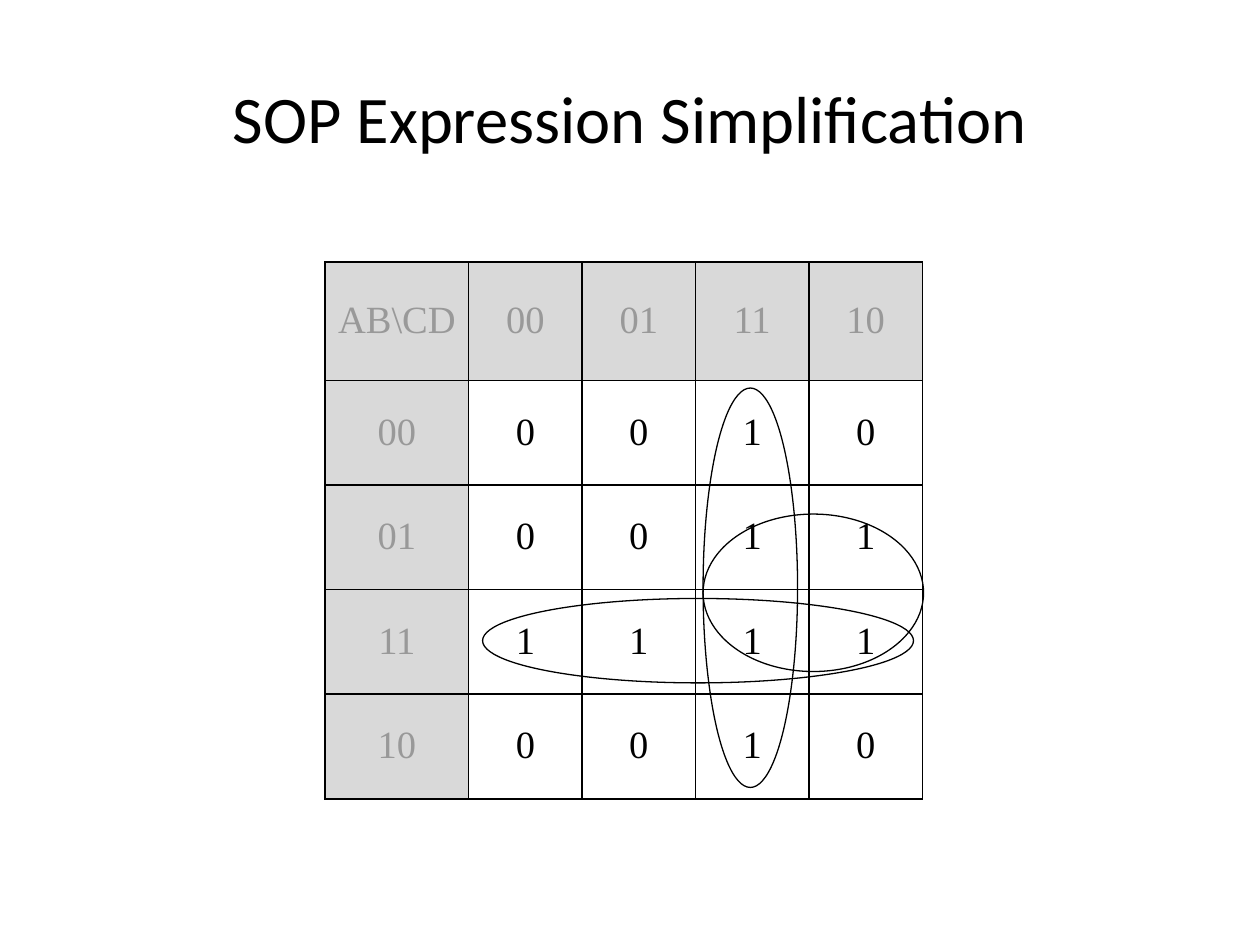
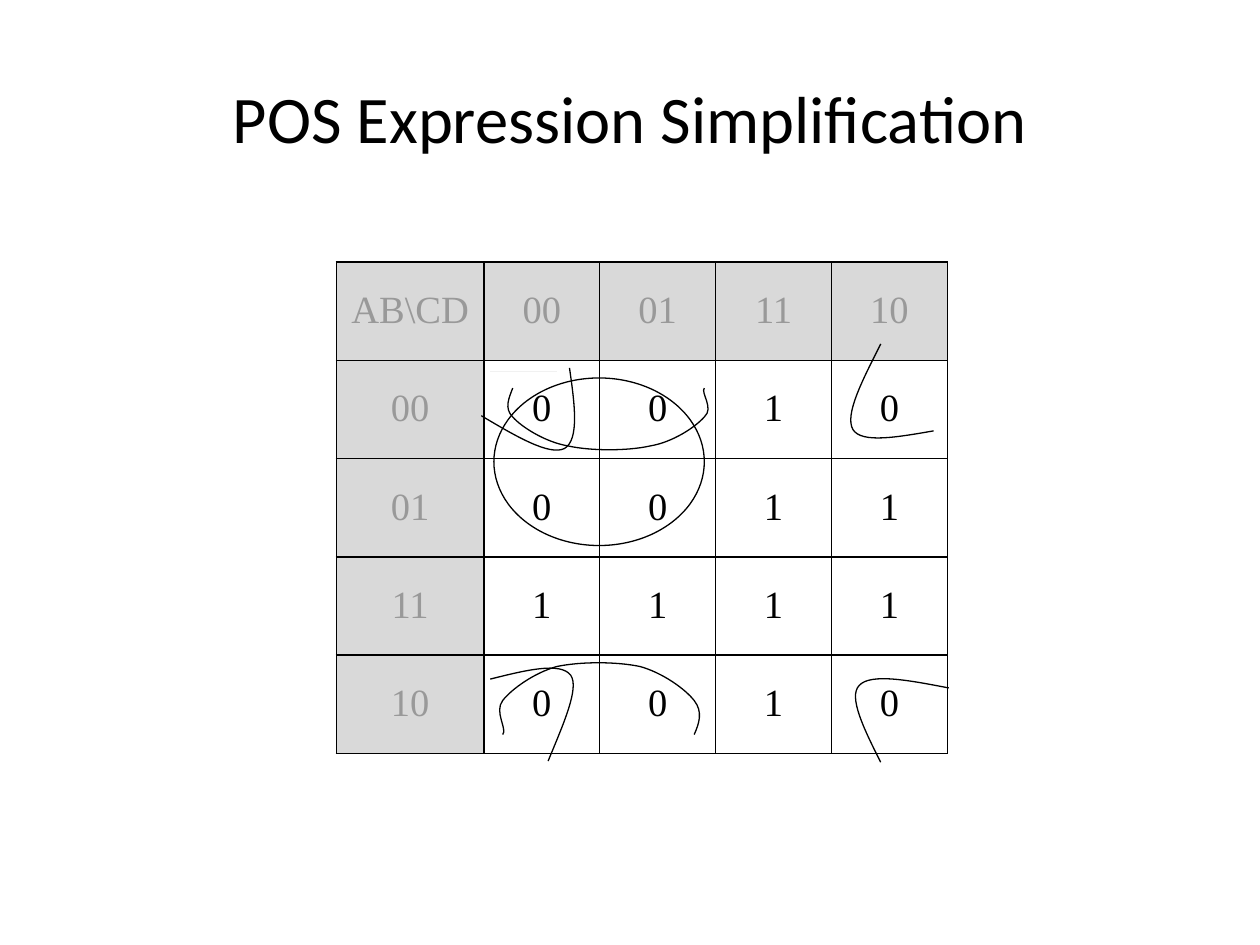
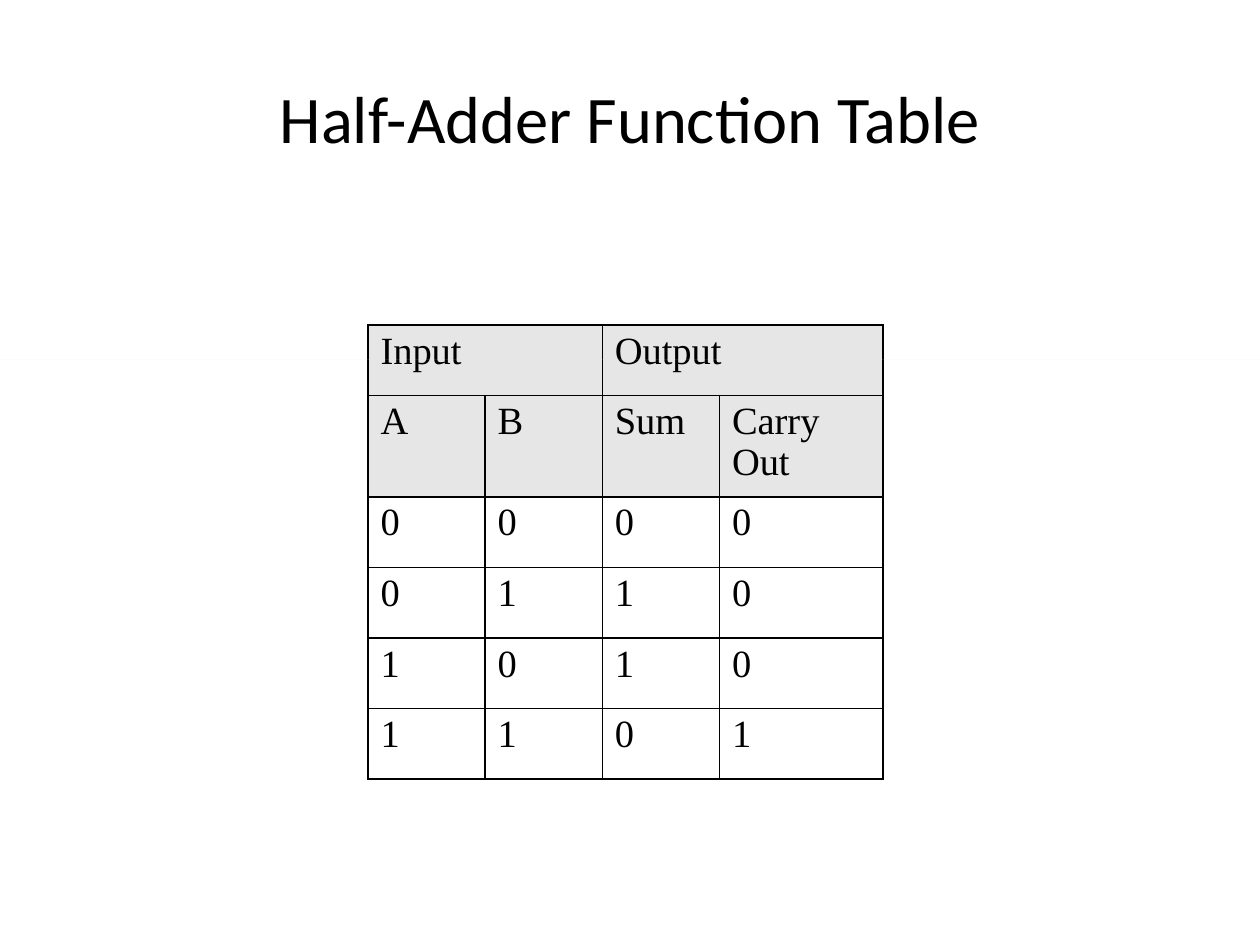
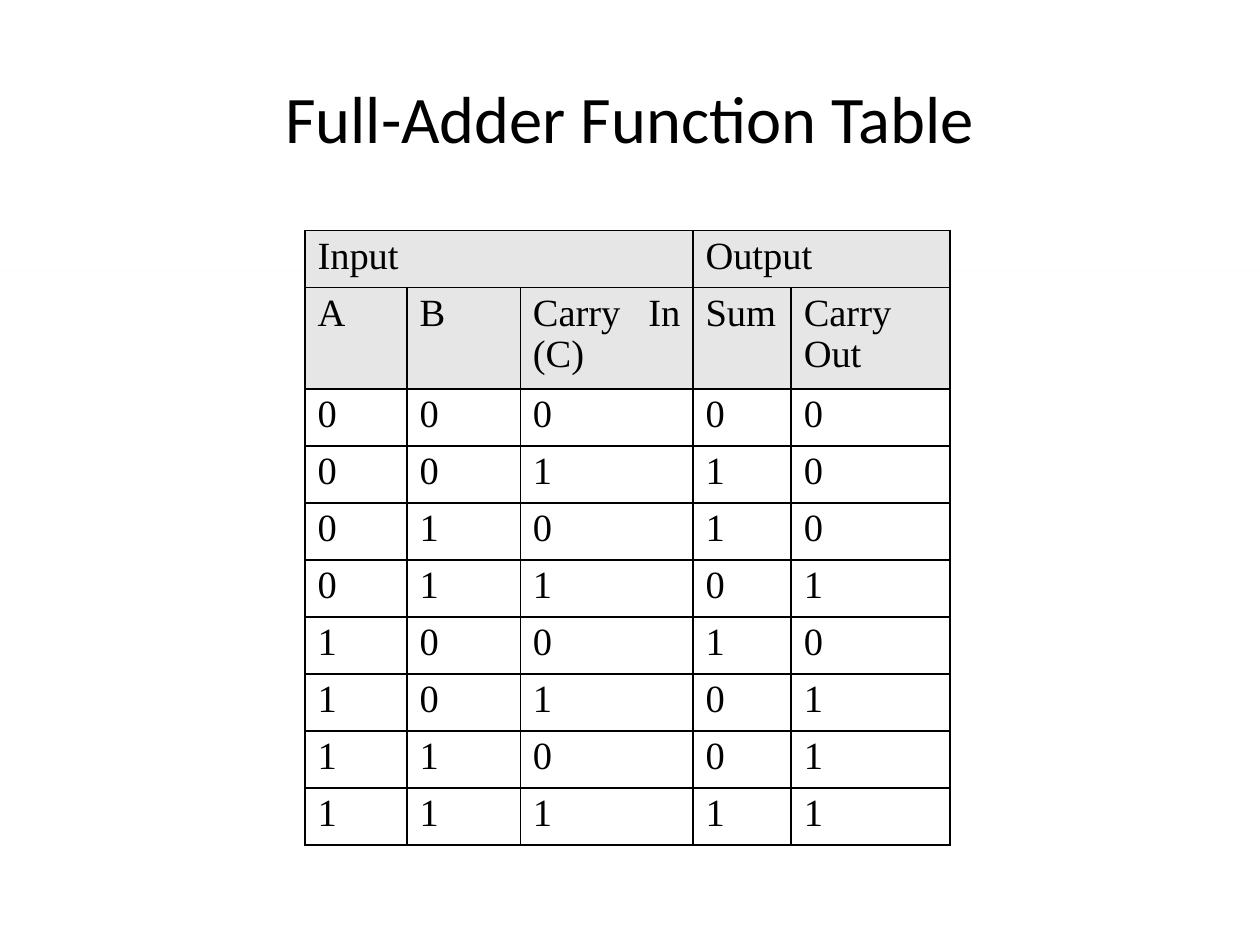
from itertools import product

from lxml.etree import SubElement
from pptx import Presentation
from pptx.dml.color import RGBColor
from pptx.enum.shapes import MSO_SHAPE as Preset
from pptx.enum.text import MSO_ANCHOR as Anchor, PP_ALIGN as Align
from pptx.oxml.ns import qn
from pptx.util import Inches, Pt

# Shared look
BLACK = RGBColor(0x00, 0x00, 0x00)
WHITE = RGBColor(0xFF, 0xFF, 0xFF)
LABEL_TEXT = RGBColor(0x99, 0x99, 0x99)
LABEL_FILL = RGBColor(0xD9, 0xD9, 0xD9)
HEADER_FILL = RGBColor(0xE6, 0xE6, 0xE6)
TITLE_FONT = "Calibri"
TABLE_FONT = "Times New Roman"
OUTLINE = Pt(0.75)
BORDER = Pt(1)
HAIRLINE = Pt(0.1)

# Karnaugh map content, in Gray code order
GRAY_CODE = ["00", "01", "11", "10"]
MAP_ROWS = ["0010", "0011", "1111", "0010"]

# Curves around the zeros: a start point, then three points per Bezier segment
EDGE_ARCS = [
    [(4.07, 3.08), (4.04, 3.16), (4, 3.24), (4.07, 3.31),
     (4.14, 3.39), (4.33, 3.51), (4.51, 3.54),
     (4.69, 3.58), (4.98, 3.58), (5.16, 3.54),
     (5.34, 3.51), (5.52, 3.39), (5.59, 3.31),
     (5.67, 3.24), (5.56, 3.12), (5.59, 3.08)],
    [(5.51, 5.83), (5.55, 5.74), (5.58, 5.65), (5.51, 5.56),
     (5.44, 5.47), (5.26, 5.34), (5.08, 5.29),
     (4.89, 5.25), (4.61, 5.25), (4.42, 5.29),
     (4.24, 5.34), (4.06, 5.47), (3.99, 5.56),
     (3.92, 5.65), (4.03, 5.79), (3.99, 5.83)],
]
CORNER_ARCS = [
    [(4.52, 2.92), (4.56, 3.2), (4.6, 3.49), (4.48, 3.56),
     (4.36, 3.62), (4.09, 3.46), (3.82, 3.3)],
    [(3.89, 5.39), (4.17, 5.32), (4.45, 5.25), (4.53, 5.36),
     (4.6, 5.46), (4.47, 5.75), (4.35, 6.04)],
    [(6.99, 6.05), (6.86, 5.79), (6.73, 5.53), (6.82, 5.44),
     (6.91, 5.34), (7.22, 5.4), (7.53, 5.46)],
    [(7.41, 3.42), (7.12, 3.47), (6.84, 3.52), (6.77, 3.41),
     (6.7, 3.29), (6.85, 3.01), (6.99, 2.73)],
]


def set_text(frame, text, font_name, size, color, align):
    frame.text = text
    paragraph = frame.paragraphs[0]
    paragraph.alignment = align
    paragraph.font.name = font_name
    paragraph.font.size = Pt(size)
    paragraph.font.color.rgb = color
    return paragraph


def add_titled_slide(presentation, title):
    slide = presentation.slides.add_slide(presentation.slide_layouts[6])
    box = slide.shapes.add_textbox(Inches(0.5), Inches(0.3), Inches(9), Inches(1.25))
    frame = box.text_frame
    frame.word_wrap = True
    frame.vertical_anchor = Anchor.MIDDLE
    set_text(frame, title, TITLE_FONT, 38, BLACK, Align.CENTER)
    return slide


# Outlines and rules
def style_outline(shape):
    shape.shadow.inherit = False
    shape.fill.background()
    shape.line.color.rgb = BLACK
    shape.line.width = OUTLINE


def add_loop(slide, left, top, width, height):
    style_outline(slide.shapes.add_shape(
        Preset.OVAL, Inches(left), Inches(top), Inches(width), Inches(height)))


def add_curve(slide, points):
    start, *others = [(Inches(x), Inches(y)) for x, y in points]
    builder = slide.shapes.build_freeform(*start)
    builder.add_line_segments(others, close=False)
    shape = builder.convert_to_shape()
    style_outline(shape)
    # Join each three line segments into one Bezier segment
    outline = next(shape._element.iter(qn("a:path")))
    segments = outline.findall(qn("a:lnTo"))
    for index in range(0, len(segments), 3):
        bezier = SubElement(outline, qn("a:cubicBezTo"))
        for segment in segments[index:index + 3]:
            bezier.append(segment[0])
            outline.remove(segment)


def add_rule(slide, left, top, width, color):
    rule = slide.shapes.add_shape(
        Preset.RECTANGLE, Inches(left), Inches(top), Inches(width), HAIRLINE)
    rule.shadow.inherit = False
    rule.fill.solid()
    rule.fill.fore_color.rgb = color
    rule.line.fill.background()


# Tables
def add_grid(slide, left, top, widths, heights):
    table = slide.shapes.add_table(
        len(heights), len(widths), Inches(left), Inches(top),
        Inches(sum(widths)), Inches(sum(heights))).table
    table.first_row = False
    table.horz_banding = False
    for column, width in zip(table.columns, widths):
        column.width = Inches(width)
    for row, height in zip(table.rows, heights):
        row.height = Inches(height)
    return table


def fill_cell(cell, text, align, anchor, fill=None, color=BLACK):
    paragraph = set_text(cell.text_frame, text, TABLE_FONT, 22, color, align)
    paragraph.line_spacing = 0.96
    cell.vertical_anchor = anchor
    properties = cell._tc.get_or_add_tcPr()
    for side in ("a:lnL", "a:lnR", "a:lnT", "a:lnB"):
        line = SubElement(properties, qn(side), w=str(BORDER))
        solid = SubElement(line, qn("a:solidFill"))
        SubElement(solid, qn("a:srgbClr"), val=str(BLACK))
    if fill is None:
        cell.fill.background()
    else:
        cell.fill.solid()
        cell.fill.fore_color.rgb = fill


def add_karnaugh_map(slide, left, top, widths, heights):
    table = add_grid(slide, left, top, widths, heights)
    rows = [["AB\\CD", *GRAY_CODE]]
    rows += [[code, *values] for code, values in zip(GRAY_CODE, MAP_ROWS)]
    for r, row in enumerate(rows):
        for c, text in enumerate(row):
            is_label = r == 0 or c == 0
            fill_cell(table.cell(r, c), text, Align.CENTER, Anchor.MIDDLE,
                      LABEL_FILL if is_label else None,
                      LABEL_TEXT if is_label else BLACK)


def add_adder_table(slide, left, top, widths, row_height, inputs):
    count = len(inputs)
    rows = [["Input"] + [""] * (count - 1) + ["Output", ""],
            [*inputs, "Sum", "Carry Out"]]
    for bits in product((0, 1), repeat=count):
        total = sum(bits)
        rows.append([str(bit) for bit in (*bits, total % 2, total // 2)])
    table = add_grid(slide, left, top, widths, [row_height] * len(rows))
    for r, row in enumerate(rows):
        for c, text in enumerate(row):
            fill_cell(table.cell(r, c), text, Align.JUSTIFY, Anchor.TOP,
                      HEADER_FILL if r < 2 else WHITE)
    table.cell(0, 0).merge(table.cell(0, count - 1))
    table.cell(0, count).merge(table.cell(0, count + 1))


# Slides
def build_sop_slide(presentation):
    slide = add_titled_slide(presentation, "SOP Expression Simplification")
    add_loop(slide, 5.58, 4.08, 1.75, 1.25)
    add_loop(slide, 3.83, 4.75, 3.42, 0.67)
    add_loop(slide, 5.58, 3.08, 0.75, 3.17)
    add_karnaugh_map(slide, 2.58, 2.08, [1.14] + [0.9] * 4, [0.94] + [0.83] * 4)


def build_pos_slide(presentation):
    slide = add_titled_slide(presentation, "POS Expression Simplification")
    add_loop(slide, 3.92, 3, 1.67, 1.33)
    for points in EDGE_ARCS:
        add_curve(slide, points)
    add_rule(slide, 3.89, 2.95, 0.53, LABEL_FILL)
    add_karnaugh_map(slide, 2.67, 2.08, [1.17] + [0.92] * 4, [0.78] * 5)
    for points in CORNER_ARCS:
        add_curve(slide, points)


def build_half_adder_slide(presentation):
    slide = add_titled_slide(presentation, "Half-Adder Function Table")
    add_adder_table(slide, 2.92, 2.58, [0.93] * 3 + [1.3], 0.56, ["A", "B"])
    add_rule(slide, 0, 2.85, 10, HEADER_FILL)


def build_full_adder_slide(presentation):
    slide = add_titled_slide(presentation, "Full-Adder Function Table")
    add_rule(slide, 0, 2.15, 10, HEADER_FILL)
    add_adder_table(slide, 2.42, 1.83, [0.81, 0.9, 1.37, 0.78, 1.26], 0.41,
                    ["A", "B", "Carry In (C)"])


def main():
    presentation = Presentation()
    presentation.slide_width = Inches(10)
    presentation.slide_height = Inches(7.5)
    build_sop_slide(presentation)
    build_pos_slide(presentation)
    build_half_adder_slide(presentation)
    build_full_adder_slide(presentation)
    presentation.save("out.pptx")


if __name__ == "__main__":
    main()
